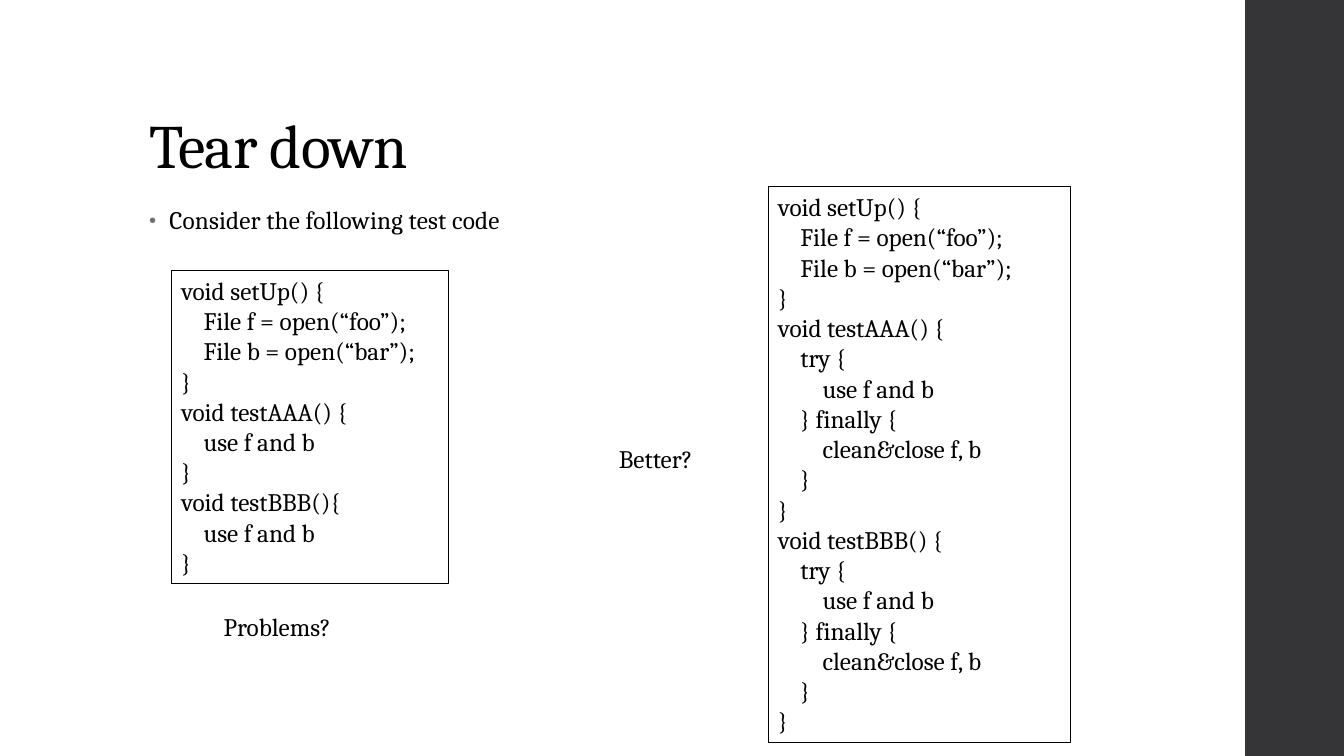
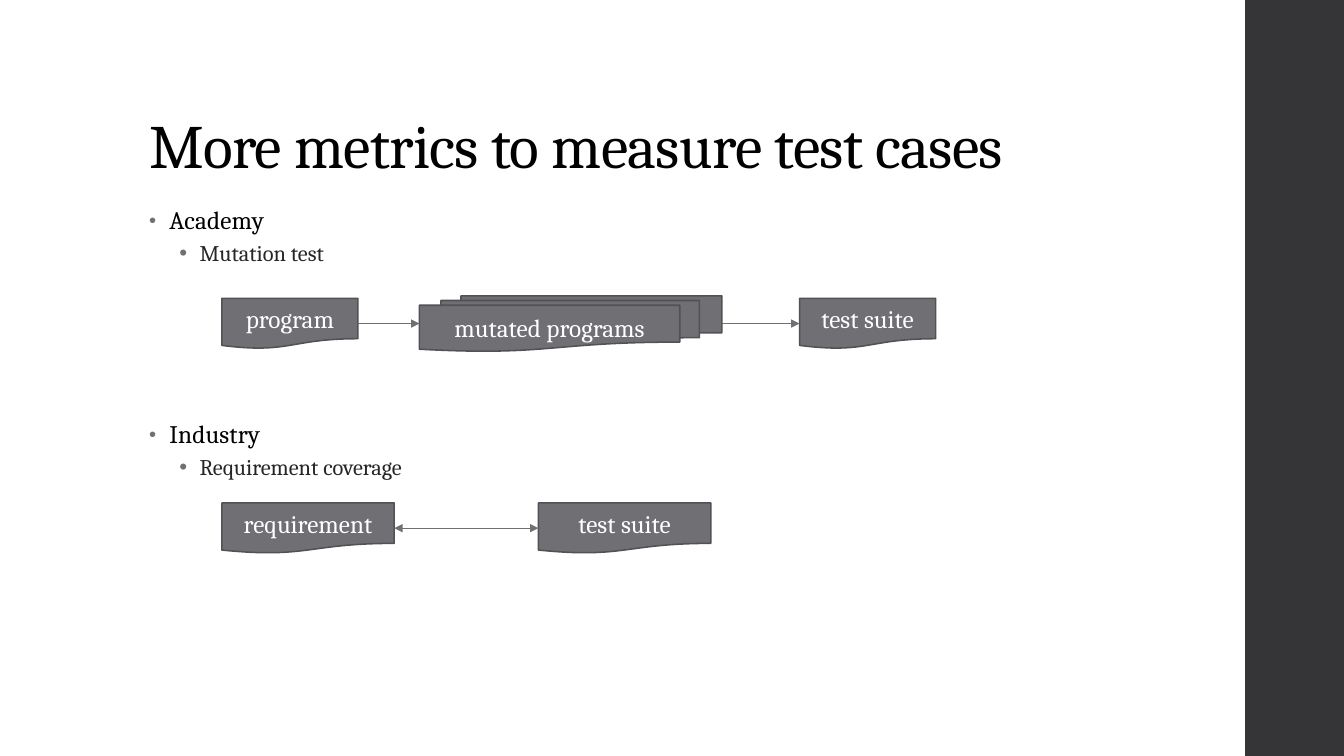
"""Build two slides on unit testing: tear down and test case metrics."""
from lxml import etree
from pptx import Presentation
from pptx.dml.color import RGBColor
from pptx.enum.shapes import MSO_CONNECTOR, MSO_SHAPE
from pptx.enum.text import MSO_ANCHOR, MSO_AUTO_SIZE, PP_ALIGN
from pptx.oxml.ns import qn
from pptx.util import Inches, Pt

RECT = MSO_SHAPE.RECTANGLE
DOC = MSO_SHAPE.FLOWCHART_DOCUMENT
MULTI = MSO_SHAPE.FLOWCHART_MULTIDOCUMENT
STRAIGHT = MSO_CONNECTOR.STRAIGHT
LEFT, CENTER = PP_ALIGN.LEFT, PP_ALIGN.CENTER
TOP, MIDDLE, BOTTOM = MSO_ANCHOR.TOP, MSO_ANCHOR.MIDDLE, MSO_ANCHOR.BOTTOM
NO_FIT, GROW = MSO_AUTO_SIZE.NONE, MSO_AUTO_SIZE.SHAPE_TO_FIT_TEXT

FONT = "Cambria"
COLORS = {"text": "000000", "subtext": "262626", "band": "353537",
          "accent": "6F6F74", "edge": "525256", "white": "FFFFFF"}
CODE_INDENT = 0.22
LEFT_SITE, RIGHT_SITE = 1, 3

BULLETS = [
    dict(size=18, color="text", spacing=0.95, before=14, after=2,
         spc=10, indent=0.2, bullet=80),
    dict(size=16, color="subtext", spacing=0.9, before=3, after=3,
         spc=0, indent=0.5, bullet=100),
]

TEAR_DOWN = "Tear down"
TEAR_DOWN_LIST = [(0, "Consider the following test code", {})]
SET_UP = [(0, "void setUp() {"), (1, "File f = open(“foo”);"),
          (1, "File b = open(“bar”);"), (0, "}")]
USE = [(1, "use f and b"), (0, "}")]
TRY = [(1, "try {"), (2, "use f and b"), (1, "} finally {"),
       (2, "clean&close f, b"), (1, "}"), (0, "}")]
PLAIN_CODE = [*SET_UP, (0, "void testAAA() {"), *USE,
              (0, "void testBBB(){"), *USE]
SAFE_CODE = [*SET_UP, (0, "void testAAA() {"), *TRY,
             (0, "void testBBB() {"), *TRY]
CODE_BOXES = [(PLAIN_CODE, 1.7, 2.68, 2.75, 3.11),
              (SAFE_CODE, 7.62, 1.85, 3, 5.52)]
QUESTIONS = [("Problems?", 2.12, 6.02, 1.4), ("Better?", 6.04, 4.35, 1.01)]

METRICS = "More metrics to measure test cases"
METRICS_LIST = [(0, "Academy", {}), (1, "Mutation test", {}),
                (0, "Industry", {"before": 107}),
                (1, "Requirement coverage", {})]
FLOWS = [
    {"middle": 3.21, "both_ways": False,
     "steps": [("program", DOC, 2.2, 1.35, 0.5),
               ("mutated programs", MULTI, 4.16, 3, 0.55),
               ("test suite", DOC, 7.93, 1.35, 0.5)]},
    {"middle": 5.24, "both_ways": True,
     "steps": [("requirement", DOC, 2.2, 1.71, 0.5),
               ("test suite", DOC, 5.34, 1.71, 0.5)]},
]


def rgb(name):
    return RGBColor.from_string(COLORS[name])


def write(tf, text, size=18, color="text", align=LEFT, level=0, spacing=None,
          before=None, after=None, spc=None, indent=0, bullet=None):
    """Write text as the next paragraph of a text frame."""
    p = tf.paragraphs[0] if not tf.text else tf.add_paragraph()
    p.alignment, p.level = align, level
    if spacing:
        p.line_spacing = spacing
    if before is not None:
        p.space_before, p.space_after = Pt(before), Pt(after)
    r = p.add_run()
    r.text = text
    r.font.name, r.font.size = FONT, Pt(size)
    r.font.color.rgb = rgb(color)
    if spc is not None:
        r.font._element.set("spc", str(spc))
    pPr = p._p.get_or_add_pPr()
    pPr.set("marL", str(Inches(indent)))
    pPr.set("indent", str(Inches(-0.2 if bullet else 0)))
    if bullet:
        clr = etree.SubElement(pPr, qn("a:buClr"))
        etree.SubElement(clr, qn("a:srgbClr"), val=COLORS["accent"])
        etree.SubElement(pPr, qn("a:buSzPct"), val=str(bullet * 1000))
        etree.SubElement(pPr, qn("a:buFont"), typeface="Arial")
        etree.SubElement(pPr, qn("a:buChar"), char="•")


def place(sp, x, y, w, h):
    sp.left, sp.top, sp.width, sp.height = map(Inches, (x, y, w, h))


def frame(sp, anchor=TOP, fit=NO_FIT, wrap=True):
    tf = sp.text_frame
    tf.word_wrap, tf.auto_size, tf.vertical_anchor = wrap, fit, anchor
    return tf


def add_filled(s, kind, x, y, w, h, fill, edge=None):
    sp = s.shapes.add_shape(kind, *map(Inches, (x, y, w, h)))
    sp.shadow.inherit = False
    sp.fill.solid()
    sp.fill.fore_color.rgb = rgb(fill)
    if edge:
        sp.line.color.rgb, sp.line.width = rgb(edge), Pt(1.1)
    else:
        sp.line.fill.background()
    return sp


def add_slide(prs, title, bullets):
    s = prs.slides.add_slide(prs.slide_layouts[1])
    add_filled(s, RECT, 12.35, 0, 0.98, 7.5, "band")
    heading, body = s.shapes.title, s.placeholders[1]
    place(heading, 1.38, 0.4, 10.6, 1.45)
    write(frame(heading, BOTTOM), title, size=44, spacing=0.9, spc=-50)
    place(body, 1.38, 2, 9.4, 4.76)
    tf = frame(body)
    for level, text, changes in bullets:
        write(tf, text, level=level, **{**BULLETS[level], **changes})
    return s


def add_arrow(s, start, end, both_ways):
    line = s.shapes.add_connector(STRAIGHT, 0, 0, 0, 0)
    line.begin_connect(start, RIGHT_SITE)
    line.end_connect(end, LEFT_SITE)
    line.line.color.rgb, line.line.width = rgb("accent"), Pt(0.75)
    ln = line.line._get_or_add_ln()
    for tag in ("a:headEnd", "a:tailEnd") if both_ways else ("a:tailEnd",):
        etree.SubElement(ln, qn(tag), type="triangle")
    etree.SubElement(line._element.spPr, qn("a:effectLst"))


def add_flow(s, middle, both_ways, steps):
    previous = None
    for text, kind, x, w, h in steps:
        sp = add_filled(s, kind, x, middle - h / 2, w, h, "accent", "edge")
        write(frame(sp, MIDDLE), text, color="white", align=CENTER)
        if previous:
            add_arrow(s, previous, sp, both_ways)
        previous = sp


prs = Presentation()
prs.slide_width, prs.slide_height = Inches(13.33), Inches(7.5)

s = add_slide(prs, TEAR_DOWN, TEAR_DOWN_LIST)
for code, *box in CODE_BOXES:
    sp = s.shapes.add_textbox(*map(Inches, box))
    sp.line.color.rgb, sp.line.width = rgb("text"), Pt(0.75)
    tf = frame(sp, fit=GROW)
    for depth, text in code:
        write(tf, text, indent=depth * CODE_INDENT)
for text, x, y, w in QUESTIONS:
    sp = s.shapes.add_textbox(*map(Inches, (x, y, w, 0.4)))
    write(frame(sp, fit=GROW, wrap=False), text)

s = add_slide(prs, METRICS, METRICS_LIST)
for flow in FLOWS:
    add_flow(s, **flow)

prs.save("out.pptx")
